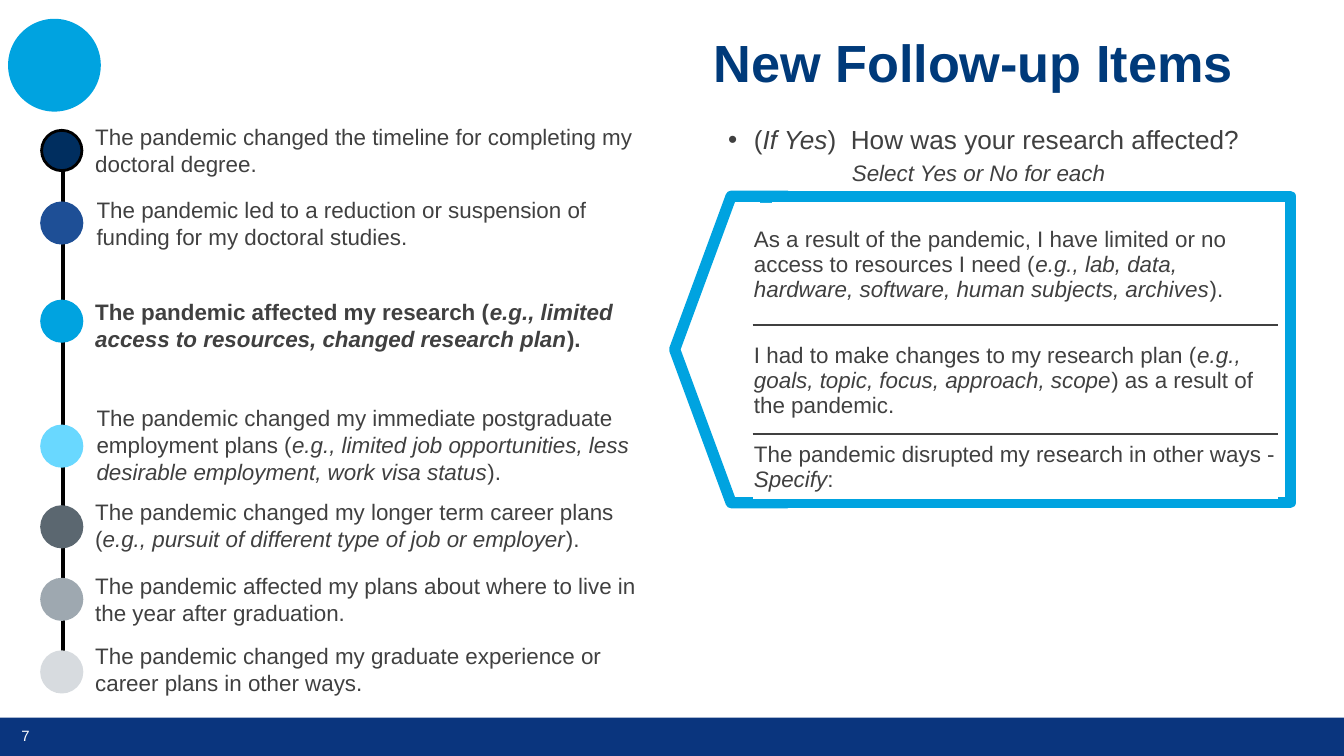
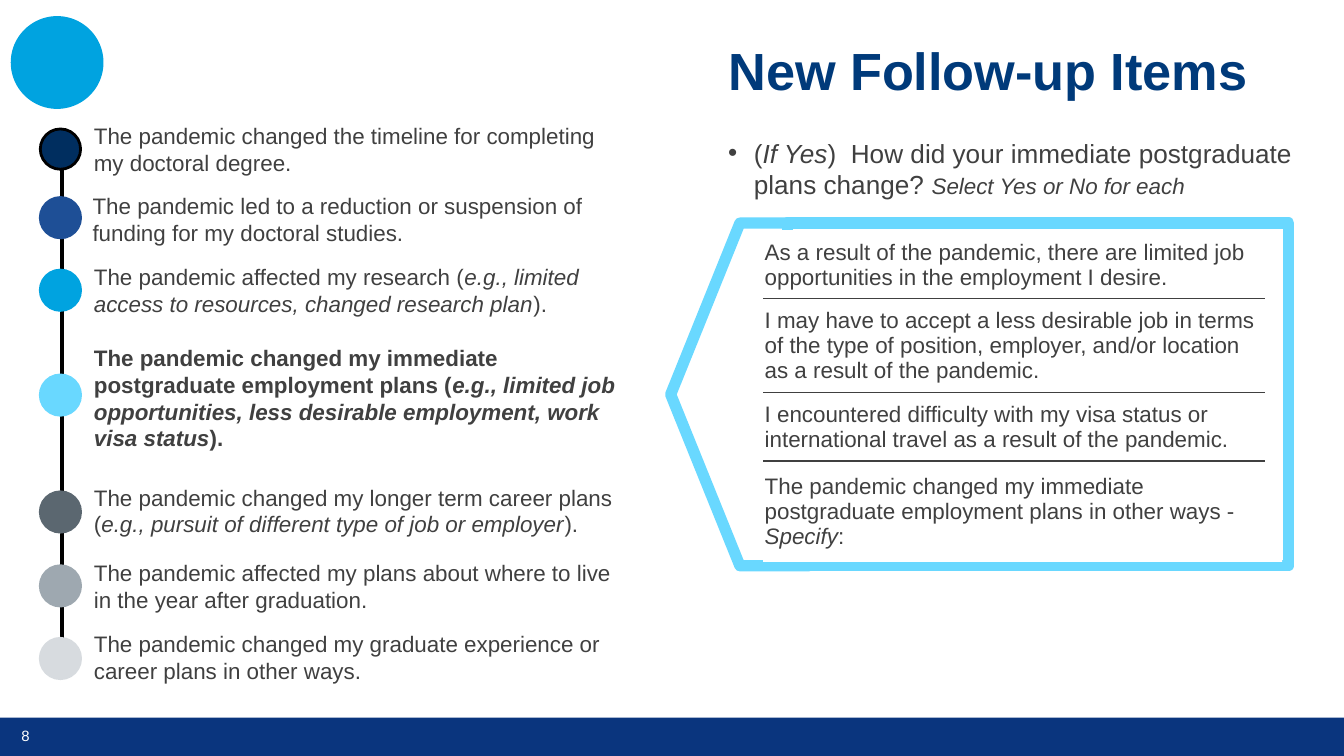
from lxml import etree
from pptx import Presentation
from pptx.dml.color import RGBColor
from pptx.enum.shapes import MSO_CONNECTOR as CONNECTOR, MSO_SHAPE as SHAPE
from pptx.enum.text import MSO_ANCHOR as ANCHOR, MSO_AUTO_SIZE as AUTO_SIZE, PP_ALIGN as ALIGN
from pptx.oxml.ns import qn
from pptx.util import Pt

PX = 9144
WIDTH = 1000
FONT = "Arial"
WHITE = RGBColor(0xFF, 0xFF, 0xFF)
BLACK = RGBColor(0x00, 0x00, 0x00)
TEXT = RGBColor(0x40, 0x40, 0x40)
TITLE = RGBColor(0x00, 0x3A, 0x7A)
BAND = RGBColor(0x0A, 0x35, 0x7E)
NAVY = RGBColor(0x00, 0x2E, 0x5F)
BLUE = RGBColor(0x1E, 0x4F, 0x96)
CYAN = RGBColor(0x00, 0xA3, 0xE0)
SKY = RGBColor(0x69, 0xD8, 0xFF)
SLATE = RGBColor(0x5B, 0x67, 0x70)
GREY = RGBColor(0x9E, 0xA8, 0xB0)
SILVER = RGBColor(0xD7, 0xDB, 0xDF)
NO_TABLE_STYLE = "{2D5ABB26-0587-4C30-8999-92F81FD0307C}"
DOT = 30

HEADING = "New Follow-up Items"
INSTRUCTION = "*Select Yes or No for each*"
ITEMS = [
    ("The pandemic changed the timeline for completing my doctoral degree.", NAVY, BLACK),
    ("The pandemic led to a reduction or suspension of funding for my doctoral studies.", BLUE, BLUE),
    ("The pandemic affected my research (*e.g., limited access to resources, "
     "changed research plan*).", CYAN, CYAN),
    ("The pandemic changed my immediate postgraduate employment plans (*e.g., limited job "
     "opportunities, less desirable employment, work visa status*).", SKY, SKY),
    ("The pandemic changed my longer term career plans (*e.g., pursuit of different type "
     "of job or employer*).", SLATE, SLATE),
    ("The pandemic affected my plans about where to live in the year after graduation.", GREY, GREY),
    ("The pandemic changed my graduate experience or career plans in other ways.", SILVER, SILVER),
]

SLIDES = [
    {
        "number": "7",
        "title": (521, 7, 424, 83),
        "circle": (6, 14),
        "dot_left": 31,
        "focus": 2,
        "items": [
            (97, 61, 87, 442, 2), (151, 62, 141, 442, 2), (224, 61, 217, 442, 2),
            (317, 62, 296, 442, 3), (377, 61, 366, 442, 2), (431, 61, 421, 442, 2),
            (485, 61, 473, 442, 2),
        ],
        "prompt": (532, 87, 402, 57),
        "wrap": False,
        "question": "(*If Yes*)  How was your research affected?",
        "own_line": True,
        "arrow": (502, 146, 84, 228),
        "frame": (570, 146, 390, 228),
        "panel": (561, 151, 376, 204),
        "table": (560, 151, 391),
        "rows": [
            (91, "As a result of the pandemic, I have limited or no access to resources I need "
                 "(*e.g., lab, data, hardware, software, human subjects, archives*)."),
            (81, "I had to make changes to my research plan (*e.g., goals, topic, focus, "
                 "approach, scope*) as a result of the pandemic."),
            (48, "The pandemic disrupted my research in other ways - *Specify*:"),
        ],
    },
    {
        "number": "8",
        "title": (532, 13, 427, 83),
        "circle": (8, 12),
        "dot_left": 30,
        "focus": 3,
        "items": [
            (96, 60, 86, 415, 2), (147, 59, 138, 442, 2), (201, 60, 191, 432, 2),
            (279, 60, 251, 415, 4), (366, 60, 355, 442, 2), (421, 60, 411, 415, 2),
            (475, 60, 464, 442, 2),
        ],
        "prompt": (532, 97, 442, 57),
        "wrap": True,
        "question": "(*If Yes*)  How did your immediate postgraduate plans change? ",
        "own_line": False,
        "arrow": (499, 166, 103, 255),
        "frame": (586, 166, 373, 255),
        "panel": (578, 199, 376, 219),
        "table": (568, 171, 373),
        "rows": [
            (51, "As a result of the pandemic, there are limited job opportunities in the "
                 "employment I desire."),
            (70, "I may have to accept a less desirable job in terms of the type of position, "
                 "employer, and/or location as a result of the pandemic."),
            (51, "I encountered difficulty with my visa status or international travel as a "
                 "result of the pandemic."),
            (75, "The pandemic changed my immediate postgraduate employment plans in other "
                 "ways - *Specify*:"),
        ],
    },
]


def scaled(box):
    return [value * PX for value in box]


def add_runs(paragraph, text, size=12, color=TEXT, bold=False):
    for index, part in enumerate(text.split("*")):
        if part:
            run = paragraph.add_run()
            run.text = part
            font = run.font
            font.name, font.size, font.bold = FONT, Pt(size), bold
            font.italic = index % 2 == 1
            font.color.rgb = color


def add_text(slide, box, text, wrap=True, **style):
    frame = slide.shapes.add_textbox(*scaled(box)).text_frame
    frame.word_wrap = wrap
    add_runs(frame.paragraphs[0], text, **style)
    return frame


def add_block(slide, kind, box, fill, line=None, weight=0):
    shape = slide.shapes.add_shape(kind, *scaled(box))
    shape.shadow.inherit = False
    shape.fill.solid()
    shape.fill.fore_color.rgb = fill
    if line is None:
        shape.line.fill.background()
    else:
        shape.line.color.rgb = line
        shape.line.width = Pt(weight)
    return shape


def add_page(presentation, content):
    slide = presentation.slides.add_slide(presentation.slide_layouts[5])
    add_block(slide, SHAPE.RECTANGLE, (0, 534, WIDTH, 29), BAND)
    number = add_text(slide, (0, 535, 38, 24), content["number"], size=8, color=WHITE)
    number.vertical_anchor = ANCHOR.MIDDLE
    number.paragraphs[0].alignment = ALIGN.CENTER
    number.paragraphs[0].space_after = Pt(6)
    add_block(slide, SHAPE.OVAL, (*content["circle"], 69, 69), CYAN)

    title = slide.shapes.title
    title.left, title.top, title.width, title.height = scaled(content["title"])
    frame = title.text_frame
    frame.auto_size = AUTO_SIZE.NONE
    frame.vertical_anchor = ANCHOR.MIDDLE
    frame.margin_left, frame.margin_top, frame.margin_right, frame.margin_bottom = scaled((10, 10, 20, 10))
    paragraph = frame.paragraphs[0]
    paragraph.alignment = ALIGN.LEFT
    paragraph.line_spacing = 0.9
    add_runs(paragraph, HEADING, size=28, color=TITLE, bold=True)
    return slide


def add_timeline(slide, content):
    left = content["dot_left"]
    center = left + DOT // 2 + 1
    first, last = content["items"][0][0], content["items"][-1][0]
    line = slide.shapes.add_connector(
        CONNECTOR.STRAIGHT, *scaled((center, last + 20, center, first + 1)))
    line.line.color.rgb = BLACK
    line.line.width = Pt(2.25)
    etree.SubElement(line._element.spPr, qn("a:effectLst"))
    for index, ((text, fill, edge), place) in enumerate(zip(ITEMS, content["items"])):
        dot_top, text_left, text_top, width, lines = place
        add_block(slide, SHAPE.OVAL, (left, dot_top, DOT, DOT), fill, edge, 1.5)
        add_text(slide, (text_left, text_top, width, 10 + 20 * lines), text,
                 bold=index == content["focus"])


def add_prompt(slide, content):
    frame = add_text(slide, content["prompt"], content["question"], content["wrap"], size=14)
    paragraph = frame.paragraphs[0]
    properties = paragraph._p.get_or_add_pPr()
    properties.set("marL", str(19 * PX))
    properties.set("indent", str(-19 * PX))
    etree.SubElement(properties, qn("a:buFont")).set("typeface", FONT)
    etree.SubElement(properties, qn("a:buChar")).set("char", "•")
    if content["own_line"]:
        paragraph = frame.add_paragraph()
        paragraph.space_before = Pt(2)
        paragraph._p.get_or_add_pPr().set("marL", str(92 * PX))
    add_runs(paragraph, INSTRUCTION)


def add_border(cell, side):
    border = etree.Element(qn(f"a:{side}"), w=str(Pt(1)))
    fill = etree.SubElement(border, qn("a:solidFill"))
    etree.SubElement(fill, qn("a:srgbClr")).set("val", str(TEXT))
    cell._tc.get_or_add_tcPr().insert(0, border)


def add_callout(slide, content):
    color = ITEMS[content["focus"]][1]
    arrow = add_block(slide, SHAPE.PENTAGON, content["arrow"], WHITE, color, 6)
    arrow.rotation = 180
    add_block(slide, SHAPE.RECTANGLE, content["frame"], WHITE, color, 6)
    add_block(slide, SHAPE.RECTANGLE, content["panel"], WHITE)

    rows = content["rows"]
    height = sum(row_height for row_height, _ in rows)
    graphic = slide.shapes.add_table(len(rows), 1, *scaled((*content["table"], height)))
    table = graphic.table
    table.first_row = table.horz_banding = False
    table._tbl.tblPr.find(qn("a:tableStyleId")).text = NO_TABLE_STYLE
    for index, (row_height, text) in enumerate(rows):
        table.rows[index].height = row_height * PX
        cell = table.cell(index, 0)
        cell.margin_left = cell.margin_right = cell.margin_top = PX
        cell.margin_bottom = 0
        cell.vertical_anchor = ANCHOR.MIDDLE
        cell.fill.solid()
        cell.fill.fore_color.rgb = WHITE
        add_runs(cell.text_frame.paragraphs[0], text)
        if index < len(rows) - 1:
            add_border(cell, "lnB")
        if index > 0:
            add_border(cell, "lnT")


def main():
    presentation = Presentation()
    presentation.slide_width = WIDTH * PX
    presentation.slide_height = presentation.slide_width * 9 // 16
    for content in SLIDES:
        slide = add_page(presentation, content)
        add_timeline(slide, content)
        add_callout(slide, content)
        add_prompt(slide, content)
    presentation.save("out.pptx")


if __name__ == "__main__":
    main()
